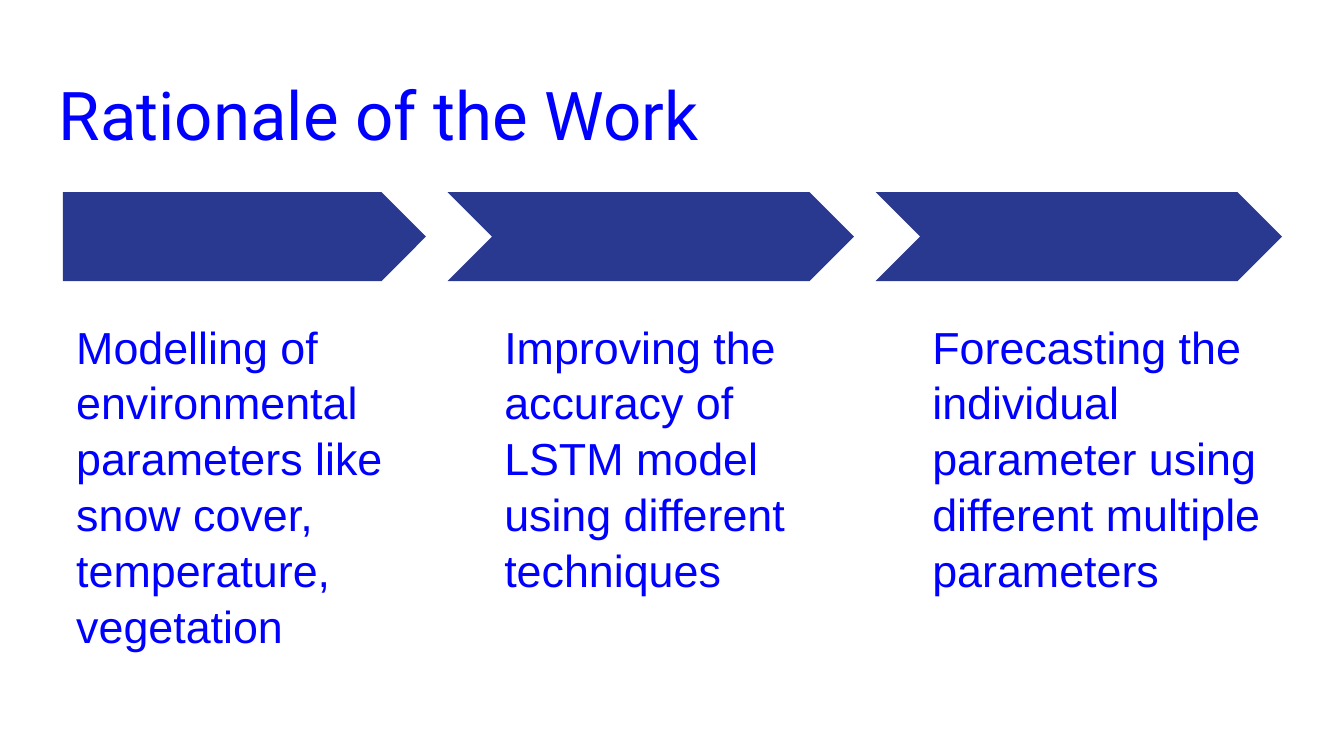
import pptx
import pptx.dml.color
import pptx.enum.shapes
import pptx.enum.text
import pptx.oxml.ns
import pptx.util
from lxml import etree

Cm = pptx.util.Cm
Shapes = pptx.enum.shapes.MSO_SHAPE
NAVY = pptx.dml.color.RGBColor(0x2A, 0x39, 0x90)
BLUE = pptx.dml.color.RGBColor(0x00, 0x00, 0xFF)

LEFT, COLUMN_WIDTH, PITCH = 1.19, 6.86, 8.09
ARROW_TOP, ARROW_HEIGHT, NOTCH = 3.63, 1.68, 0.82
BODY_TOP, BODY_HEIGHT = 5.74, 7.37
STEPS = [
    "Modelling of environmental parameters like snow cover, temperature, vegetation",
    "Improving the accuracy of LSTM model using different techniques",
    "Forecasting the individual parameter using different multiple parameters",
]


class SlideBuilder:
    """Hold the slide and its style, and add each kind of element."""

    def __init__(self, slide):
        self.slide = slide
        self.color = BLUE
        self.inset = Cm(0.25)

    def fill_placeholder(self, shape, text, box, font_name, size, line_spacing=1.0):
        shape.left, shape.top, shape.width, shape.height = map(Cm, box)
        frame = shape.text_frame
        frame.text = text
        frame.word_wrap = True
        frame.auto_size = pptx.enum.text.MSO_AUTO_SIZE.NONE
        frame.vertical_anchor = pptx.enum.text.MSO_ANCHOR.TOP
        frame.margin_left = frame.margin_right = self.inset
        frame.margin_top = frame.margin_bottom = self.inset
        paragraph = frame.paragraphs[0]
        paragraph.alignment = pptx.enum.text.PP_ALIGN.LEFT
        paragraph.line_spacing = line_spacing
        paragraph.space_before = pptx.util.Pt(0)
        paragraph.font.name = font_name
        paragraph.font.size = pptx.util.Pt(size)
        paragraph.font.bold = False
        paragraph.font.color.rgb = self.color
        return paragraph

    def title(self, text, box):
        self.fill_placeholder(self.slide.shapes.title, text, box, "Roboto", 36)

    def body(self, shape, text, box):
        paragraph = self.fill_placeholder(shape, text, box, "Arial", 24, 1.04)
        properties = paragraph._p.get_or_add_pPr()
        properties.set("marL", "0")
        properties.set("indent", "0")
        no_bullet = etree.Element(pptx.oxml.ns.qn("a:buNone"))
        properties.insert_element_before(no_bullet, "a:tabLst", "a:defRPr", "a:extLst")

    def arrow(self, kind, box):
        shape = self.slide.shapes.add_shape(kind, *map(Cm, box))
        shape.adjustments[0] = 0.5
        shape.shadow.inherit = False
        shape.fill.solid()
        shape.fill.fore_color.rgb = NAVY
        shape.line.fill.background()


def main():
    presentation = pptx.Presentation()
    presentation.slide_width, presentation.slide_height = Cm(25.4), Cm(14.28)
    comparison_layout = presentation.slide_layouts[4]
    slide = presentation.slides.add_slide(comparison_layout)
    builder = SlideBuilder(slide)
    builder.title("Rationale of the Work", (0.86, 1.14, 23.67, 1.68))

    bodies = list(slide.placeholders)[1:]
    for index, (shape, text) in enumerate(zip(bodies, STEPS)):
        left = LEFT + index * PITCH
        notch = NOTCH if index else 0
        kind = Shapes.CHEVRON if index else Shapes.PENTAGON
        builder.arrow(kind, (left - notch, ARROW_TOP, COLUMN_WIDTH + notch, ARROW_HEIGHT))
        builder.body(shape, text, (left, BODY_TOP, COLUMN_WIDTH, BODY_HEIGHT))
    for unused in bodies[len(STEPS):]:
        unused.element.getparent().remove(unused.element)
    presentation.save("out.pptx")


if __name__ == "__main__":
    main()
